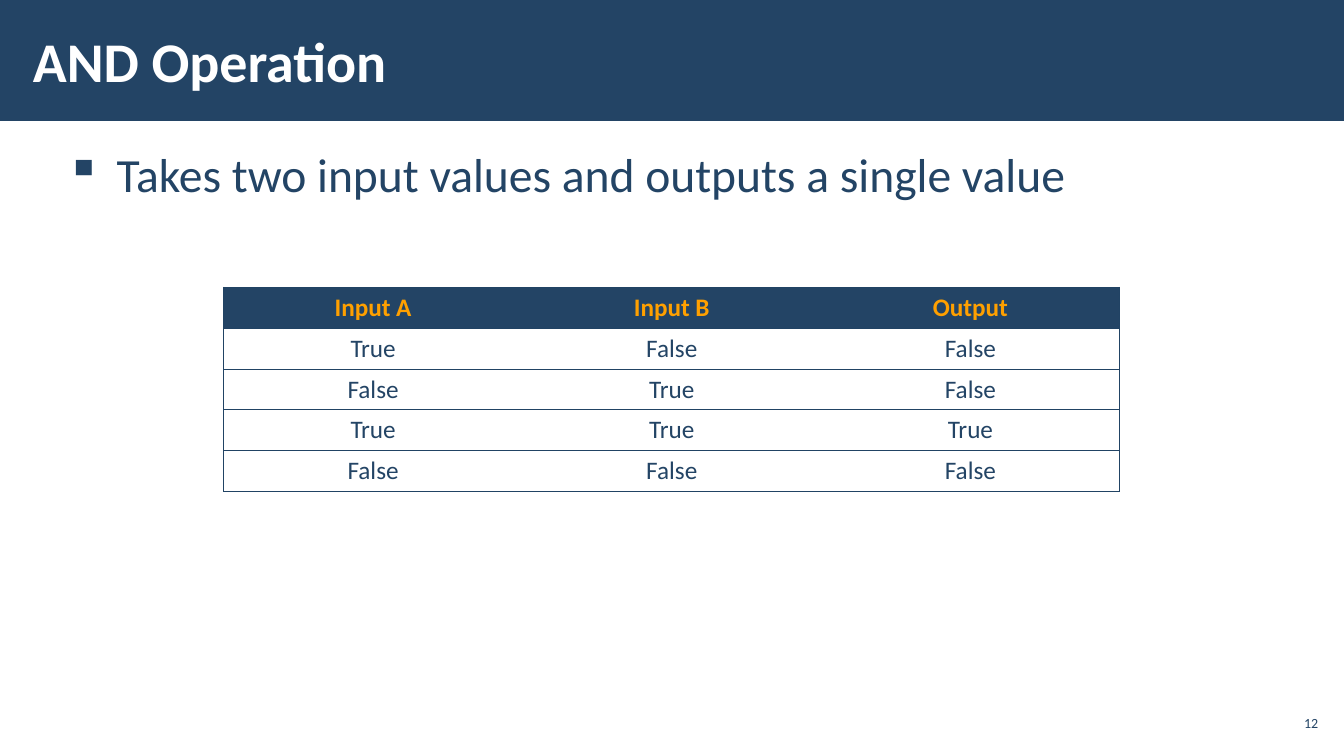
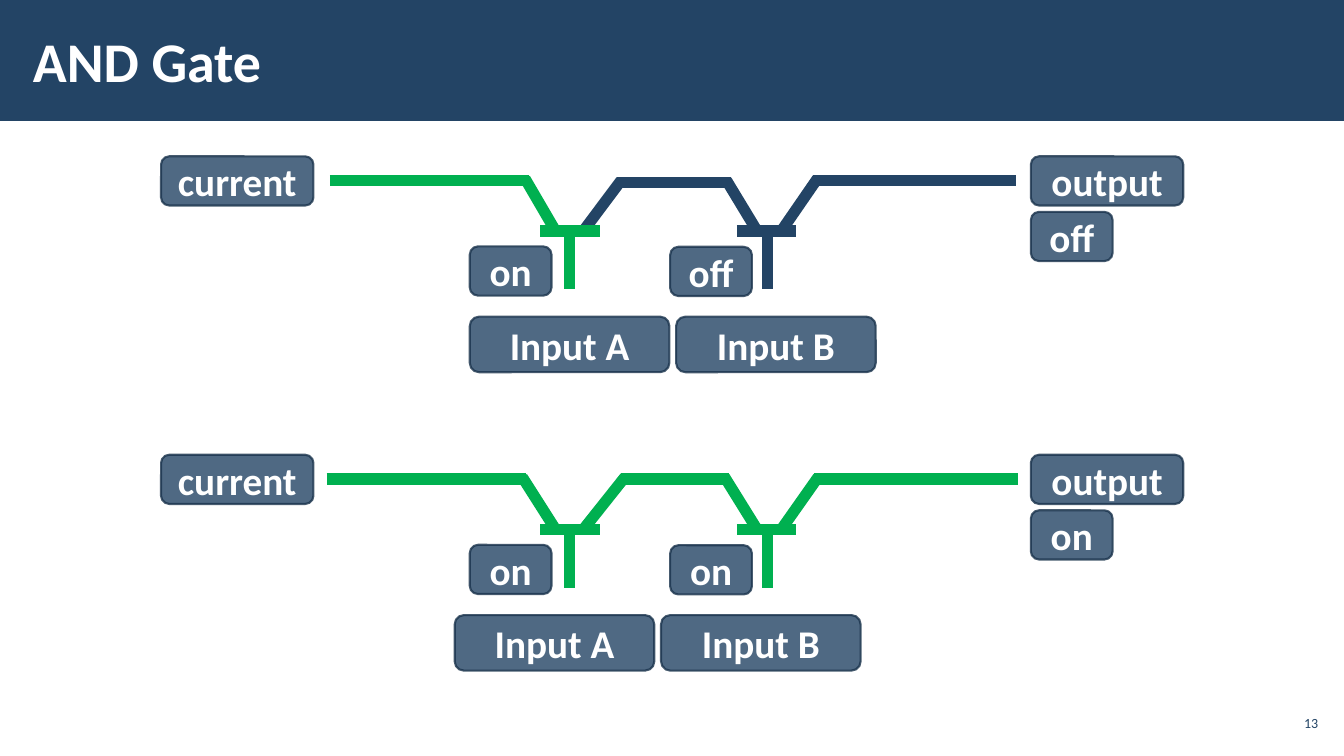
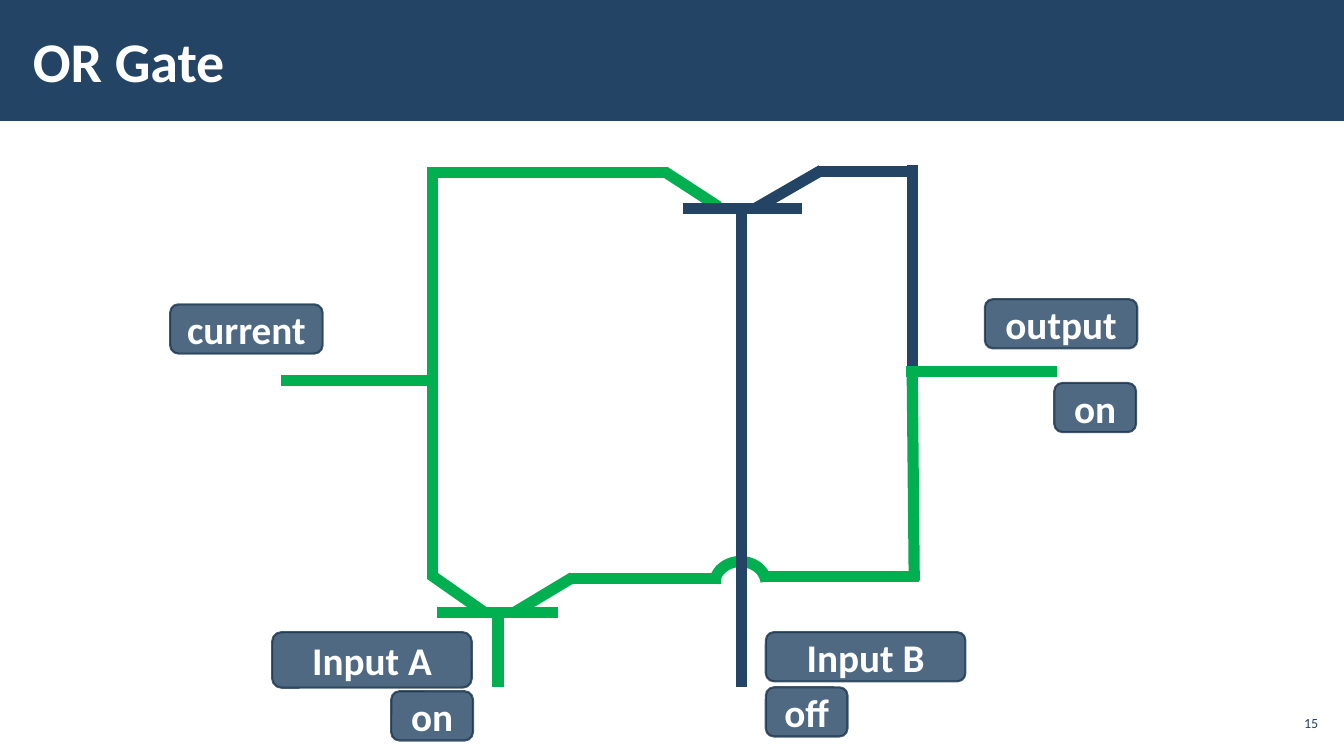
from dataclasses import dataclass

from lxml import etree
from pptx import Presentation
from pptx.dml.color import RGBColor
from pptx.enum.shapes import MSO_CONNECTOR, MSO_SHAPE
from pptx.enum.text import MSO_ANCHOR, PP_ALIGN
from pptx.oxml.ns import qn
from pptx.util import Cm, Pt

LEFT, CENTER, RIGHT = PP_ALIGN.LEFT, PP_ALIGN.CENTER, PP_ALIGN.RIGHT
TOP, MIDDLE = MSO_ANCHOR.TOP, MSO_ANCHOR.MIDDLE
RECTANGLE, ROUNDED, ARC = MSO_SHAPE.RECTANGLE, MSO_SHAPE.ROUNDED_RECTANGLE, MSO_SHAPE.ARC
STRAIGHT = MSO_CONNECTOR.STRAIGHT


@dataclass(frozen=True)
class Theme:
    font: str = "Calibri"
    navy: str = "234465"
    edge: str = "1A334C"
    rule: str = "214364"
    green: str = "00B050"
    amber: str = "FFA000"
    white: str = "FFFFFF"
    title: int = 40
    body: int = 34
    label: int = 28
    cell: int = 18
    page: int = 10
    wire: int = 8
    label_edge: float = 1.5
    rule_width: float = 0.75
    label_opacity: int = 80


THEME = Theme()
LIVE, DEAD = THEME.green, THEME.navy

# Content: truth table
AND_POINT = "Takes two input values and outputs a single value"
AND_TABLE = [
    ("Input A", "Input B", "Output"),
    ("True", "False", "False"),
    ("False", "True", "False"),
    ("True", "True", "True"),
    ("False", "False", "False"),
]

# Content: AND circuits; lengths in cm, dip lowers the wire between the inputs
AND_CIRCUITS = [
    dict(rail=4.55, dip=0.05, bends=(8.31, 13.23, 15.65, 18.31, 20.6, 25.6),
         source=LIVE, a=LIVE, between=DEAD, b=DEAD, sink=DEAD,
         states=("on", "off", "off"), inputs_left=11.84),
    dict(rail=12.07, dip=0, bends=(8.23, 13.16, 15.75, 18.26, 20.62, 25.65),
         source=LIVE, a=LIVE, between=LIVE, b=LIVE, sink=LIVE,
         states=("on", "on", "on"), inputs_left=11.46),
]

# Content: OR circuit, wires as (colour, x1, y1, x2, y2)
OR_WIRES = [
    (LIVE, 7.09, 9.58, 10.9, 9.58),
    (LIVE, 10.9, 9.55, 10.9, 4.22),
    (LIVE, 10.9, 14.58, 10.9, 9.55),
    (LIVE, 16.84, 4.34, 10.87, 4.34),
    (LIVE, 18.11, 5.21, 16.74, 4.32),
    (DEAD, 19.02, 5.26, 20.7, 4.29),
    (DEAD, 22.99, 4.32, 20.62, 4.32),
    (DEAD, 22.99, 9.4, 22.99, 4.17),
    (LIVE, 22.83, 9.37, 26.64, 9.37),
    (LIVE, 23.04, 14.63, 22.99, 9.42),
    (LIVE, 19.18, 14.53, 23.16, 14.53),
    (LIVE, 14.35, 14.58, 18.16, 14.58),
    (LIVE, 12.22, 15.44, 10.85, 14.48),
    (LIVE, 12.95, 15.44, 14.43, 14.55),
    (DEAD, 17.2, 5.26, 20.22, 5.26),
    (LIVE, 11.02, 15.44, 14.05, 15.44),
    (DEAD, 18.69, 17.32, 18.69, 5.26),
    (LIVE, 12.55, 17.32, 12.55, 15.44),
]
BRIDGE = (18.01, 14.15, 1.3, 1.12)
OR_LABELS = [
    ("current", "end", 4.29, 7.67),
    ("output", "end", 24.82, 7.54),
    ("Input A", "input", 6.86, 15.93),
    ("Input B", "low input", 19.3, 15.93),
    ("on", "state", 9.86, 17.42),
    ("off", "state", 19.3, 17.32),
    ("on", "state", 26.57, 9.65),
]
LABEL_SIZES = {"end": (3.84, 1.24), "input": (5.03, 1.4),
               "low input": (5.03, 1.24), "state": (2.06, 1.24)}


# Building blocks
def rgb(color):
    return RGBColor.from_string(color)


def write(frame, text, *, size, color, bold=False, align=LEFT, anchor=TOP,
          margins=None, bullet=None, indent=1.27, spacing=None):
    frame.word_wrap = True
    frame.vertical_anchor = anchor
    if margins:
        side, end = map(Cm, margins)
        frame.margin_left = frame.margin_right = side
        frame.margin_top = frame.margin_bottom = end
    paragraph = frame.paragraphs[0]
    paragraph.text = text
    paragraph.alignment = align
    if spacing:
        paragraph.line_spacing = spacing
    if bullet:
        properties = paragraph._p.get_or_add_pPr()
        properties.set("marL", str(Cm(indent)))
        properties.set("indent", str(-Cm(indent)))
        etree.SubElement(properties, qn("a:buChar"), char=bullet)
    font = paragraph.font
    font.name, font.size, font.bold = THEME.font, Pt(size), bold
    font.color.rgb = rgb(color)


def text_box(slide, box, text, **style):
    write(slide.shapes.add_textbox(*map(Cm, box)).text_frame, text, **style)


def wire(slide, color, *ends):
    line = slide.shapes.add_connector(STRAIGHT, *map(Cm, ends))
    line.line.color.rgb = rgb(color)
    line.line.width = Pt(THEME.wire)
    etree.SubElement(line._element.spPr, qn("a:effectLst"))


def label(slide, text, kind, left, top):
    tag = slide.shapes.add_shape(ROUNDED, *map(Cm, (left, top, *LABEL_SIZES[kind])))
    tag.fill.solid()
    tag.fill.fore_color.rgb = rgb(THEME.navy)
    tag.line.color.rgb = rgb(THEME.edge)
    tag.line.width = Pt(THEME.label_edge)
    tag.shadow.inherit = False
    for color in tag._element.spPr.iter(qn("a:srgbClr")):
        etree.SubElement(color, qn("a:alpha"), val=str(THEME.label_opacity * 1000))
    write(tag.text_frame, text, size=THEME.label, color=THEME.white, bold=True,
          align=CENTER, anchor=MIDDLE)


def new_slide(deck, title, page):
    slide = deck.slides.add_slide(deck.slide_layouts[6])
    band = slide.shapes.add_shape(RECTANGLE, 0, 0, deck.slide_width, Cm(3.05))
    band.fill.solid()
    band.fill.fore_color.rgb = rgb(THEME.navy)
    band.line.fill.background()
    band.shadow.inherit = False
    text_box(slide, (0.53, 0.28, 26.42, 2.46), title, size=THEME.title,
             color=THEME.white, bold=True, anchor=MIDDLE, margins=(0.3, 0.1))
    text_box(slide, (32.13, 17.78, 1.19, 0.86), str(page), size=THEME.page,
             color=THEME.navy, align=RIGHT, anchor=MIDDLE, margins=(0.1, 0.1))
    return slide


def set_border(cell, side, visible):
    line = etree.SubElement(cell._tc.get_or_add_tcPr(), qn(f"a:ln{side}"),
                            w=str(Pt(THEME.rule_width)))
    if visible:
        fill = etree.SubElement(line, qn("a:solidFill"))
        etree.SubElement(fill, qn("a:srgbClr"), val=THEME.rule)
    else:
        etree.SubElement(line, qn("a:noFill"))


def truth_table(slide, rows, left, top, width, row_height):
    count = len(rows[0])
    table = slide.shapes.add_table(len(rows), count, Cm(left), Cm(top), Cm(width),
                                   Cm(row_height * len(rows))).table
    table.first_row = table.horz_banding = False
    for r, row in enumerate(rows):
        header = r == 0
        for c, value in enumerate(row):
            cell = table.cell(r, c)
            borders = {"L": c == 0, "R": c == count - 1, "T": True, "B": True}
            for side, visible in borders.items():
                set_border(cell, side, visible)
            if header:
                cell.fill.solid()
                cell.fill.fore_color.rgb = rgb(THEME.navy)
            else:
                cell.fill.background()
            write(cell.text_frame, value, size=THEME.cell, bold=header, align=CENTER,
                  color=THEME.amber if header else THEME.navy)


def and_circuit(slide, rail, dip, bends, source, a, between, b, sink, states, inputs_left):
    start, a_in, a_out, b_in, b_out, end = bends
    overlap, rise = 0.1, 0.05
    bar, middle, slope_top = rail + 1.27, rail + dip, rail - rise
    # Rails run a little past each bend so that the corners close
    wire(slide, source, start, rail, a_in + overlap, rail)
    wire(slide, between, a_out - overlap, middle, b_in + overlap, middle)
    wire(slide, sink, b_out - overlap, rail, end, rail)
    # Slopes down to the switches
    for color, x, foot, top in (
            (source, a_in, 14, slope_top), (between, a_out, 14.7, middle - rise),
            (between, b_in, 19.08, middle - rise), (sink, b_out, 19.69, slope_top)):
        wire(slide, color, x, top, foot, bar)
    # Switch bars and stems
    for color, bar_left, stem in ((a, 13.61, 14.35), (b, 18.57, 19.35)):
        wire(slide, color, bar_left, bar, bar_left + 1.5, bar)
        wire(slide, color, stem, bar, stem, bar + 1.47)
    # Labels
    top, pitch = rail - 0.61, 5.2
    state_a, state_b, state_out = states
    for tag in (
            ("current", "end", 4.06, top), ("output", "end", 25.98, top),
            (state_out, "state", 25.98, top + 1.4),
            (state_a, "state", 11.84, top + 2.27), (state_b, "state", 16.89, top + 2.28),
            ("Input A", "input", inputs_left, top + 4.04),
            ("Input B", "input", inputs_left + pitch, top + 4.04)):
        label(slide, *tag)


def bridge(slide, box):
    hop = slide.shapes.add_shape(ARC, *map(Cm, box))
    hop.adjustments[0], hop.adjustments[1] = 108, 212.84
    hop.fill.background()
    hop.line.color.rgb = rgb(LIVE)
    hop.line.width = Pt(THEME.wire)
    hop.shadow.inherit = False


def main():
    deck = Presentation()
    deck.slide_width, deck.slide_height = Cm(33.87), Cm(19.05)

    # AND operation
    slide = new_slide(deck, "AND Operation", 12)
    text_box(slide, (1.37, 3.48, 31.32, 14.66), AND_POINT, size=THEME.body,
             color=THEME.navy, margins=(0.3, 0.1), bullet="▪", spacing=1.05)
    truth_table(slide, AND_TABLE, left=5.64, top=7.24, width=22.58, row_height=1.03)

    # AND gate
    slide = new_slide(deck, "AND Gate", 13)
    for circuit in AND_CIRCUITS:
        and_circuit(slide, **circuit)

    # OR gate
    slide = new_slide(deck, "OR Gate", 15)
    bridge(slide, BRIDGE)
    for segment in OR_WIRES:
        wire(slide, *segment)
    for tag in OR_LABELS:
        label(slide, *tag)

    deck.save("out.pptx")


if __name__ == "__main__":
    main()
